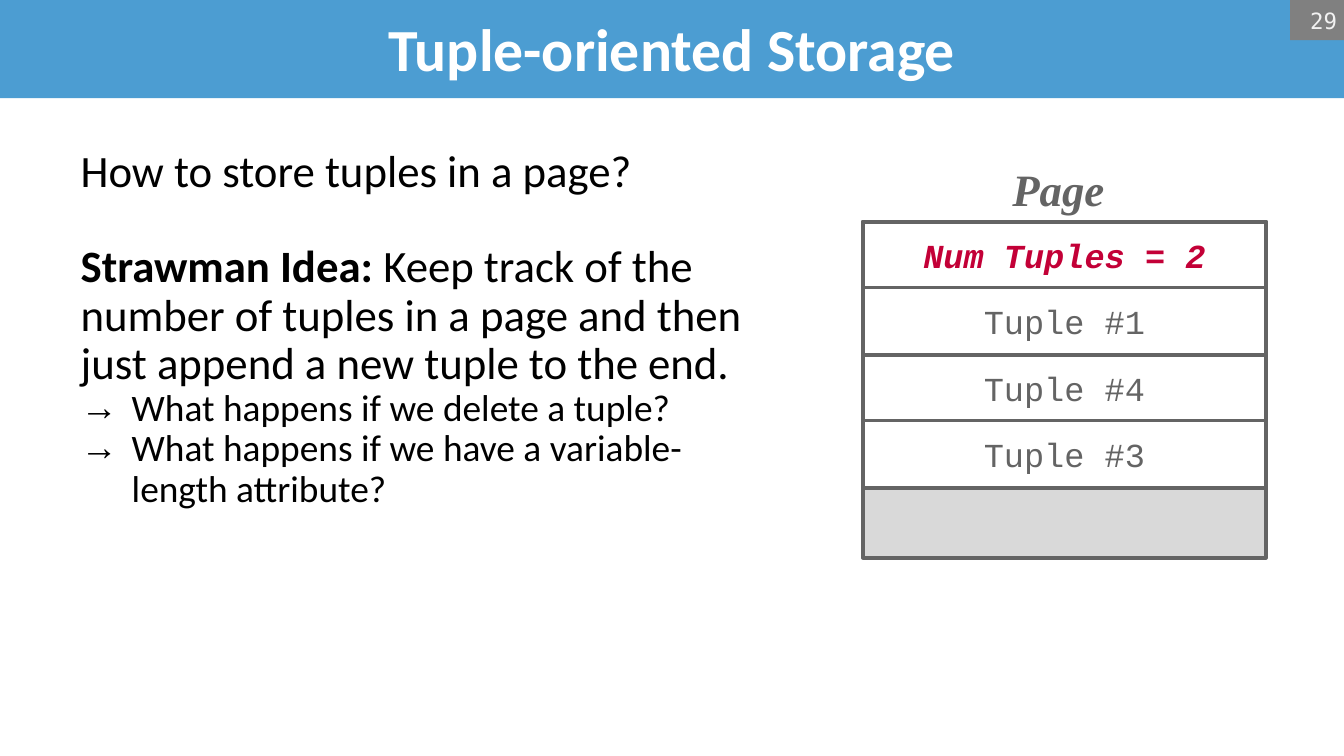
from dataclasses import dataclass

from lxml import etree
from pptx import Presentation
from pptx import util as u
from pptx.dml.color import RGBColor
from pptx.enum import shapes, text
from pptx.oxml.ns import qn

PX = 9144  # 100 px to the inch
GREY, WHITE, RED = "646464", "FFFFFF", "C30037"
MID = text.PP_ALIGN.CENTER


@dataclass
class Box:
    x: int
    y: int
    w: int
    h: int


@dataclass
class Style:
    size: int
    face: str
    color: str
    bold: bool = False
    slant: bool = False


@dataclass
class Row:
    label: str
    style: Style


@dataclass
class Item:
    runs: list[tuple[str, bool]]
    size: int
    before: int = 0
    mark: str = ""


def px(n: int) -> u.Emu:
    return u.Emu(n * PX)


def rgb(code: str) -> RGBColor:
    return RGBColor.from_string(code)


def place(shape, box: Box) -> None:
    shape.left, shape.top = px(box.x), px(box.y)
    shape.width, shape.height = px(box.w), px(box.h)


def dress(para, style: Style) -> None:
    font = para.font
    font.size, font.name = u.Pt(style.size), style.face
    font.bold, font.italic = style.bold, style.slant
    font.color.rgb = rgb(style.color)


def write(shape, words: str, style: Style, align=MID, pads=(5, 5, 5, 5)) -> None:
    """Fill a shape with one line; pads run left, top, right, bottom."""
    frame = shape.text_frame
    frame.margin_left, frame.margin_top, frame.margin_right, frame.margin_bottom = map(px, pads)
    frame.vertical_anchor = text.MSO_ANCHOR.MIDDLE
    para = frame.paragraphs[0]
    para.text, para.alignment = words, align
    dress(para, style)


def rect(slide, box: Box, fill: str, line: str = ""):
    shape = slide.shapes.add_shape(
        shapes.MSO_SHAPE.RECTANGLE, px(box.x), px(box.y), px(box.w), px(box.h))
    shape.shadow.inherit = False
    shape.fill.solid()
    shape.fill.fore_color.rgb = rgb(fill)
    if line:
        shape.line.color.rgb = rgb(line)
        shape.line.width = u.Pt(2)
    else:
        shape.line.fill.background()
    return shape


def bullet(para, mark: str) -> None:
    """Hang the paragraph on a mark, or clear its bullet if there is none."""
    props = para._p.get_or_add_pPr()
    dent = 38 * PX if mark else 0
    props.set("marL", str(dent))
    props.set("indent", str(-dent))
    if mark:
        etree.SubElement(props, qn("a:buChar")).set("char", mark)
    else:
        etree.SubElement(props, qn("a:buNone"))


def fill_list(frame, items: list[Item]) -> None:
    frame.word_wrap, frame.auto_size = True, text.MSO_AUTO_SIZE.NONE
    for i, item in enumerate(items):
        para = frame.add_paragraph() if i else frame.paragraphs[0]
        para.level = 1 if item.mark else 0
        bullet(para, item.mark)
        para.line_spacing, para.space_before = 0.9, u.Pt(item.before)
        dress(para, Style(item.size, "Calibri", "000000"))
        for words, bold in item.runs:
            run = para.add_run()
            run.text = words
            if bold:
                run.font.bold = True


def draw_page(slide, box: Box, rows: list[Row]) -> None:
    """Draw the page frame and its rows, each lapping a little over the one before."""
    rect(slide, box, "D9D9D9", GREY)
    label = slide.shapes.add_textbox(px(749), px(128), px(77), px(33))
    write(label, "Page", Style(24, "Times New Roman", GREY, True, True), pads=(0, 0, 0, 0))
    frame = label.text_frame
    frame.word_wrap, frame.auto_size = False, text.MSO_AUTO_SIZE.SHAPE_TO_FIT_TEXT
    frame.vertical_anchor = text.MSO_ANCHOR.TOP
    frame.paragraphs[0].line_spacing = 0.8
    high = box.h // (len(rows) + 1)
    for i, row in enumerate(rows):
        top = box.y + i * (2 * high - 1) // 2
        cell = rect(slide, Box(box.x, top, box.w, high), WHITE, GREY)
        write(cell, row.label, row.style)


def main() -> None:
    deck = Presentation()
    deck.slide_width = px(1000)
    deck.slide_height = u.Emu(deck.slide_width * 9 // 16)
    slide = deck.slides.add_slide(deck.slide_layouts[1])

    title, body = slide.placeholders
    place(title, Box(0, -2, 1000, 75))
    title.fill.solid()
    title.fill.fore_color.rgb = rgb("4C9DD2")
    write(title, "Tuple-oriented Storage", Style(32, "Calibri", WHITE, True))

    place(body, Box(50, 106, 520, 400))
    fill_list(body.text_frame, [
        Item([("How to store tuples in a page?", False)], 24),
        Item([("Strawman Idea:", True),
              (" Keep track of the number of tuples in a page and then"
               " just append a new tuple to the end.", False)], 24, before=25),
        Item([("What happens if we delete a tuple?", False)], 20, mark="→"),
        Item([("What happens if we have a variable-length attribute?", False)], 20, mark="→"),
    ])

    plain = Style(18, "Courier New", GREY)
    head = Style(18, "Courier New", RED, True, True)
    draw_page(slide, Box(642, 165, 300, 250), [
        Row("Num Tuples = 2", head),
        *(Row(f"Tuple #{n}", plain) for n in (1, 4, 3)),
    ])

    badge = rect(slide, Box(960, 0, 40, 30), "808080")
    write(badge, "29", Style(12, "DejaVu Sans Mono", "F2F2F2"),
          text.PP_ALIGN.RIGHT, (0, 5, 5, 5))
    deck.save("out.pptx")


if __name__ == "__main__":
    main()
